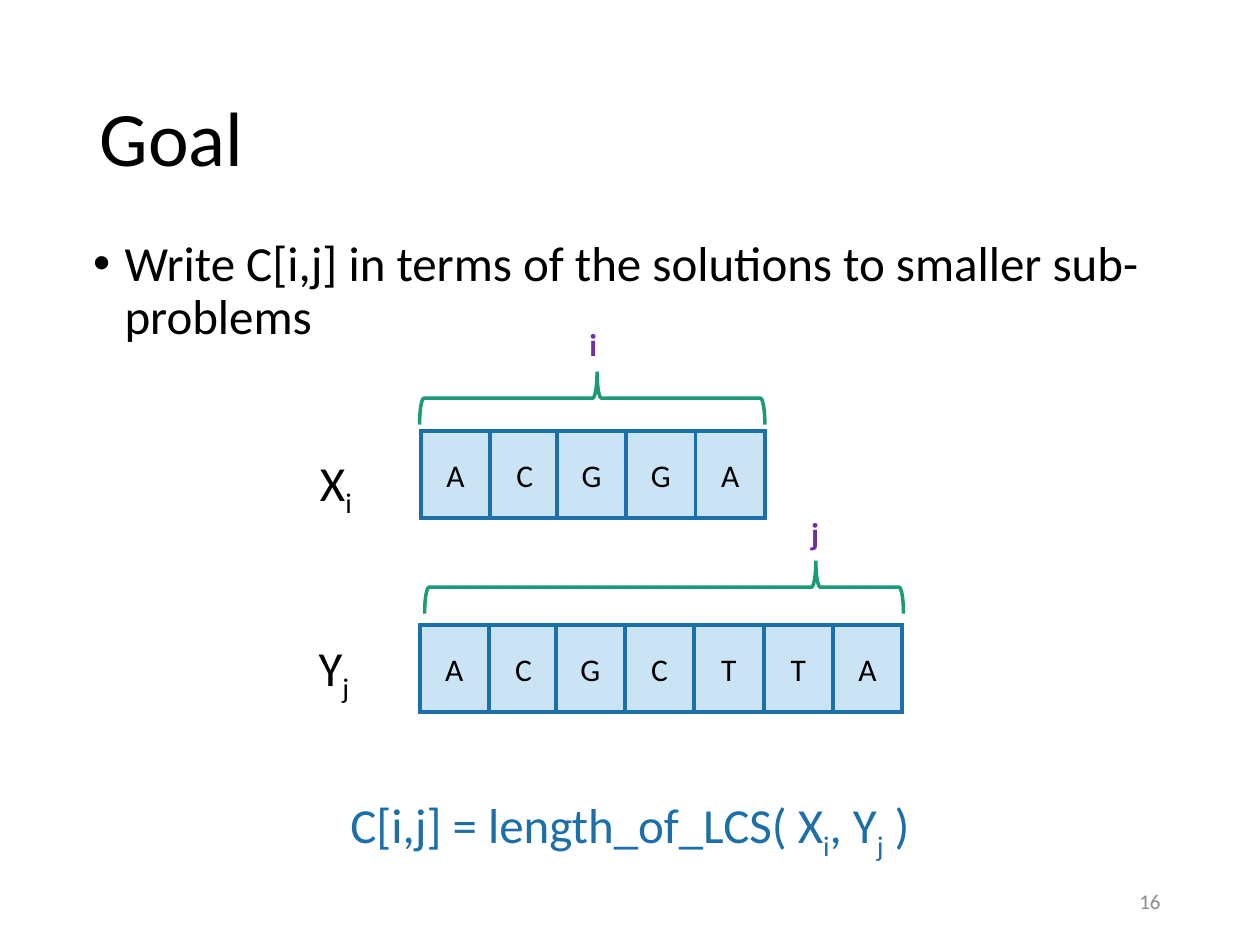
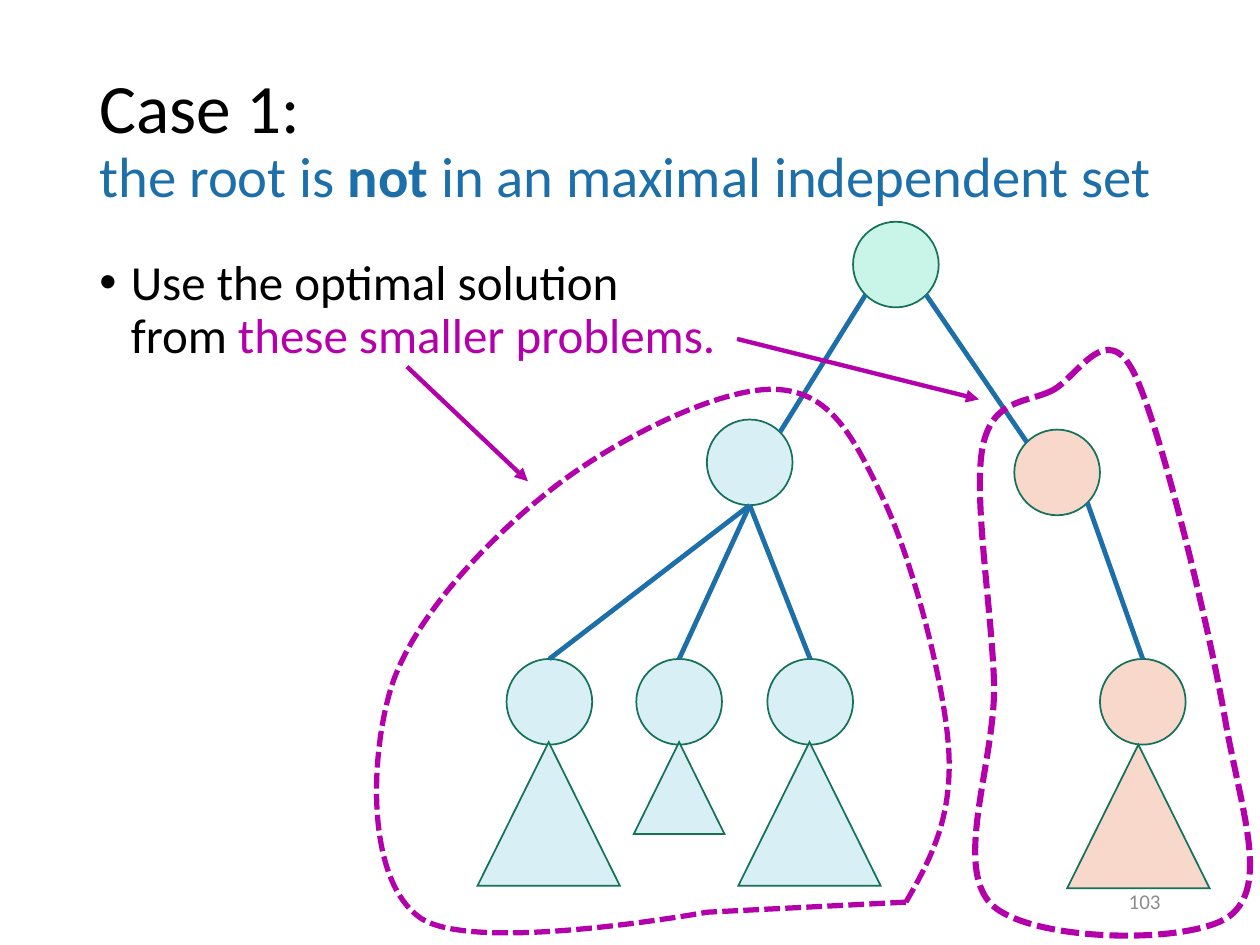
from lxml import etree
from pptx import Presentation
from pptx import util as u
from pptx.dml.color import RGBColor
from pptx.enum import dml, shapes, text
from pptx.oxml.ns import qn

FONT = "Calibri"
BLACK, BLUE, GREY = "000000", "1D6FA9", "8C8C8C"
PURPLE, MAGENTA = "7030A0", "B400AB"
CELL, BRACE = "CAE4F6", "1D9A78"
NODE_LINE, MINT, SKY, PEACH = "157259", "C8F5E8", "D7EFF5", "F8D8CA"

LEFT, CENTER, RIGHT = text.PP_ALIGN.LEFT, text.PP_ALIGN.CENTER, text.PP_ALIGN.RIGHT
TOP, MIDDLE = text.MSO_ANCHOR.TOP, text.MSO_ANCHOR.MIDDLE
SHAPE = shapes.MSO_SHAPE

NODE = 0.68
CELL_W, CELL_H = 0.55, 0.69
DIAG = NODE / 2 * 0.707
# Offsets from a node's centre to the points where edges meet it
SITES = {"top": (0, -NODE / 2), "bottom": (0, NODE / 2),
         "top left": (-DIAG, -DIAG), "top right": (DIAG, -DIAG),
         "bottom left": (-DIAG, DIAG), "bottom right": (DIAG, DIAG)}


def color(value):
    return RGBColor.from_string(value)


def inches(*values):
    return [u.Inches(v) for v in values]


def add_run(p, words, size, hue=BLACK, bold=False, sub=False):
    r = p.add_run()
    r.text = words
    f = r.font
    f.name, f.size, f.bold = FONT, u.Pt(size), bold
    f.color.rgb = color(hue)
    if sub:
        r._r.get_or_add_rPr().set("baseline", "-25000")


def prepare(tf, align=LEFT, anchor=TOP):
    """Set up a text frame and return its first paragraph."""
    tf.word_wrap = True
    tf.auto_size = text.MSO_AUTO_SIZE.NONE
    tf.vertical_anchor = anchor
    p = tf.paragraphs[0]
    p.alignment = align
    return p


def add_text(s, box, runs, align=LEFT, anchor=TOP):
    """Each run is (words, size, ...) as add_run takes it."""
    p = prepare(s.shapes.add_textbox(*inches(*box)).text_frame, align, anchor)
    for run in runs:
        add_run(p, *run)
    return p


def subscripted(parts, hue=BLACK):
    """Runs that alternate between the baseline and a subscript."""
    return [(part, 28, hue, False, i % 2 == 1) for i, part in enumerate(parts)]


def add_shape(s, kind, box, fill, line, weight):
    sp = s.shapes.add_shape(kind, *inches(*box))
    style(sp, fill, line, weight)
    return sp


def style(sp, fill, line, weight):
    sp.shadow.inherit = False
    if fill:
        sp.fill.solid()
        sp.fill.fore_color.rgb = color(fill)
    else:
        sp.fill.background()
    sp.line.color.rgb = color(line)
    sp.line.width = u.Pt(weight)
    etree.SubElement(sp.line._get_or_add_ln(), qn("a:miter"), lim="800000")


def add_line(s, start, end, hue, weight, arrow=False):
    c = s.shapes.add_connector(shapes.MSO_CONNECTOR.STRAIGHT, *inches(*start, *end))
    c.line.color.rgb = color(hue)
    c.line.width = u.Pt(weight)
    if arrow:
        etree.SubElement(c.line._get_or_add_ln(), qn("a:tailEnd"), type="triangle")
    etree.SubElement(c._element.spPr, qn("a:effectLst"))


def new_slide(prs, title_lines, number):
    s = prs.slides.add_slide(prs.slide_layouts[5])
    title = s.shapes.title
    title.left, title.top, title.width, title.height = inches(0.69, 0.4, 8.62, 1.45)
    p = prepare(title.text_frame, LEFT, MIDDLE)
    p.line_spacing = 0.9
    for i, runs in enumerate(title_lines):
        if i:
            p.add_line_break()
        for run in runs:
            add_run(p, *run)
    add_text(s, (7.06, 6.95, 2.25, 0.4), [(str(number), 12, GREY)], RIGHT, MIDDLE)
    return s


def bullet(s, box, runs):
    p = add_text(s, box, runs)
    pPr = p._p.get_or_add_pPr()
    pPr.set("marL", str(u.Inches(0.25)))
    pPr.set("indent", str(u.Inches(-0.25)))
    etree.SubElement(pPr, qn("a:buFont"), typeface="Arial")
    etree.SubElement(pPr, qn("a:buChar"), char="•")
    p.line_spacing = 0.9


def sequence(s, x, y, letters):
    """Row of lettered cells; the second cell is slightly overlapped by the third."""
    for i, letter in enumerate(letters):
        left = x + i * CELL_W - (0.02 if i > 1 else 0)
        sp = add_shape(s, SHAPE.RECTANGLE, (left, y, CELL_W, CELL_H), CELL, BLUE, 2.25)
        add_run(prepare(sp.text_frame, CENTER, MIDDLE), letter, 18)


def brace(s, x, y, w, h, tip):
    """Upward brace filling the box; tip is measured from the right end."""
    box = (x + (w - h) / 2, y + (h - w) / 2, h, w)
    sp = add_shape(s, SHAPE.LEFT_BRACE, box, None, BRACE, 2)
    sp.rotation = 90
    sp.adjustments[0], sp.adjustments[1] = 0.083, tip


def tree(s, x, y):
    nodes = {"root": (2.98, 0, MINT), "right": (4.26, 1.65, PEACH),
             "left": (1.82, 1.57, SKY), "leaf 3": (2.3, 3.47, SKY),
             "leaf 2": (1.26, 3.47, SKY), "leaf 1": (0.23, 3.47, SKY),
             "right leaf": (4.94, 3.47, PEACH)}
    edges = [("root", "bottom right", "right", "top left"),
             ("root", "bottom left", "left", "top right"),
             ("left", "bottom", "leaf 3", "top"),
             ("left", "bottom", "leaf 2", "top"),
             ("left", "bottom", "leaf 1", "top"),
             ("right", "bottom right", "right leaf", "top")]
    subtrees = [(4.68, 4.15, 1.13, 1.14, PEACH), (2.07, 4.13, 1.13, 1.14, SKY),
                (1.24, 4.13, 0.72, 0.73, SKY), (0, 4.13, 1.13, 1.14, SKY)]

    def site(name, side):
        (left, top, _), (dx, dy) = nodes[name], SITES[side]
        return x + left + NODE / 2 + dx, y + top + NODE / 2 + dy

    for left, top, fill in nodes.values():
        add_shape(s, SHAPE.OVAL, (x + left, y + top, NODE, NODE), fill, NODE_LINE, 1)
    for parent, out, child, into in edges:
        add_line(s, site(parent, out), site(child, into), BLUE, 2.75)
    for left, top, w, h, fill in subtrees:
        add_shape(s, SHAPE.ISOSCELES_TRIANGLE, (x + left, y + top, w, h),
                  fill, NODE_LINE, 1)


def dashed_loop(s, x, y, w, h, start, curves, weight):
    """Closed outline of Bezier curves, each two controls and an end within the box."""
    fb = s.shapes.build_freeform(*inches(x, y))
    fb.add_line_segments([inches(x + w, y), inches(x + w, y + h)], close=True)
    sp = fb.convert_to_shape()
    outline = sp._element.find(".//" + qn("a:path"))
    for step in list(outline):
        outline.remove(step)

    def add_step(tag, values):
        step = etree.SubElement(outline, qn(tag))
        for px, py in zip(values[::2], values[1::2]):
            etree.SubElement(step, qn("a:pt"), x=str(u.Inches(px)), y=str(u.Inches(py)))

    add_step("a:moveTo", start)
    for curve in curves:
        add_step("a:cubicBezTo", curve)
    if curves[-1][-2:] != start:
        add_step("a:lnTo", start)
    etree.SubElement(outline, qn("a:close"))
    style(sp, None, MAGENTA, weight)
    sp.line.dash_style = dml.MSO_LINE.SQUARE_DOT


def goal_slide(prs):
    s = new_slide(prs, [[("Goal", 44)]], 16)
    bullet(s, (0.64, 1.85, 8.62, 4.76),
           [("Write C[i,j] in terms of the solutions to smaller sub-problems", 28)])
    add_text(s, (2.5, 6.26, 5, 0.57),
             subscripted(["C[i,j] = length_of_LCS( X", "i", ", Y", "j", " )"], BLUE),
             CENTER)
    sequence(s, 3.34, 3.42, "ACGGA")
    sequence(s, 3.33, 4.96, "ACGCTTA")
    add_text(s, (2.43, 5.01, 0.59, 0.57), subscripted("Yj"))
    add_text(s, (2.44, 3.54, 0.59, 0.57), subscripted("Xi"))
    brace(s, 3.33, 2.95, 2.74, 0.42, 0.486)
    add_text(s, (4.58, 2.53, 0.55, 0.4), [("i", 18, PURPLE, True)])
    brace(s, 3.37, 4.45, 3.8, 0.42, 0.183)
    add_text(s, (6.34, 4.03, 0.77, 0.4), [("j", 18, PURPLE, True)])


def case_slide(prs):
    s = new_slide(prs, [[("Case 1: ", 39.6)],
                        [("the root is ", 32.4, BLUE), ("not", 32.4, BLUE, True),
                         (" in an maximal independent set", 32.4, BLUE)]], 103)
    bullet(s, (0.69, 2, 5.16, 4.76),
           [("Use the optimal solution from ", 28),
            ("these smaller problems.", 28, MAGENTA)])
    tree(s, 3.79, 1.76)
    add_line(s, (3.23, 2.91), (4.19, 3.82), MAGENTA, 2.5, arrow=True)
    dashed_loop(s, 2.99, 3.09, 4.54, 4.31, (4.2, 4.07), [
        (4.39, 3.74, 4.57, 3.41, 4.54, 2.87),
        (4.51, 2.34, 4.25, 1.35, 4.02, 0.87),
        (3.79, 0.39, 3.61, 0.02, 3.17, 0),
        (2.74, -0.02, 1.94, 0.37, 1.43, 0.76),
        (0.92, 1.15, 0.31, 1.78, 0.12, 2.35),
        (-0.06, 2.92, -0.08, 3.89, 0.34, 4.19),
        (0.75, 4.49, 2.62, 4.15, 2.62, 4.15)], 3)
    dashed_loop(s, 7.74, 2.78, 2.18, 4.65, (0.61, 0.32), [
        (0.41, 0.42, 0.14, 0.38, 0.06, 0.76),
        (-0.02, 1.15, 0.13, 2.04, 0.15, 2.65),
        (0.16, 3.26, -0.18, 4.09, 0.13, 4.4),
        (0.45, 4.7, 1.71, 4.72, 2.02, 4.49),
        (2.33, 4.25, 2.12, 3.68, 1.99, 2.97),
        (1.87, 2.25, 1.48, 0.63, 1.26, 0.18),
        (1.04, -0.26, 0.81, 0.22, 0.61, 0.32)], 3.5)
    add_line(s, (5.85, 2.69), (7.77, 3.17), MAGENTA, 2.5, arrow=True)


def main():
    prs = Presentation()
    prs.slide_width, prs.slide_height = inches(10, 7.5)
    goal_slide(prs)
    case_slide(prs)
    prs.save("out.pptx")


if __name__ == "__main__":
    main()
